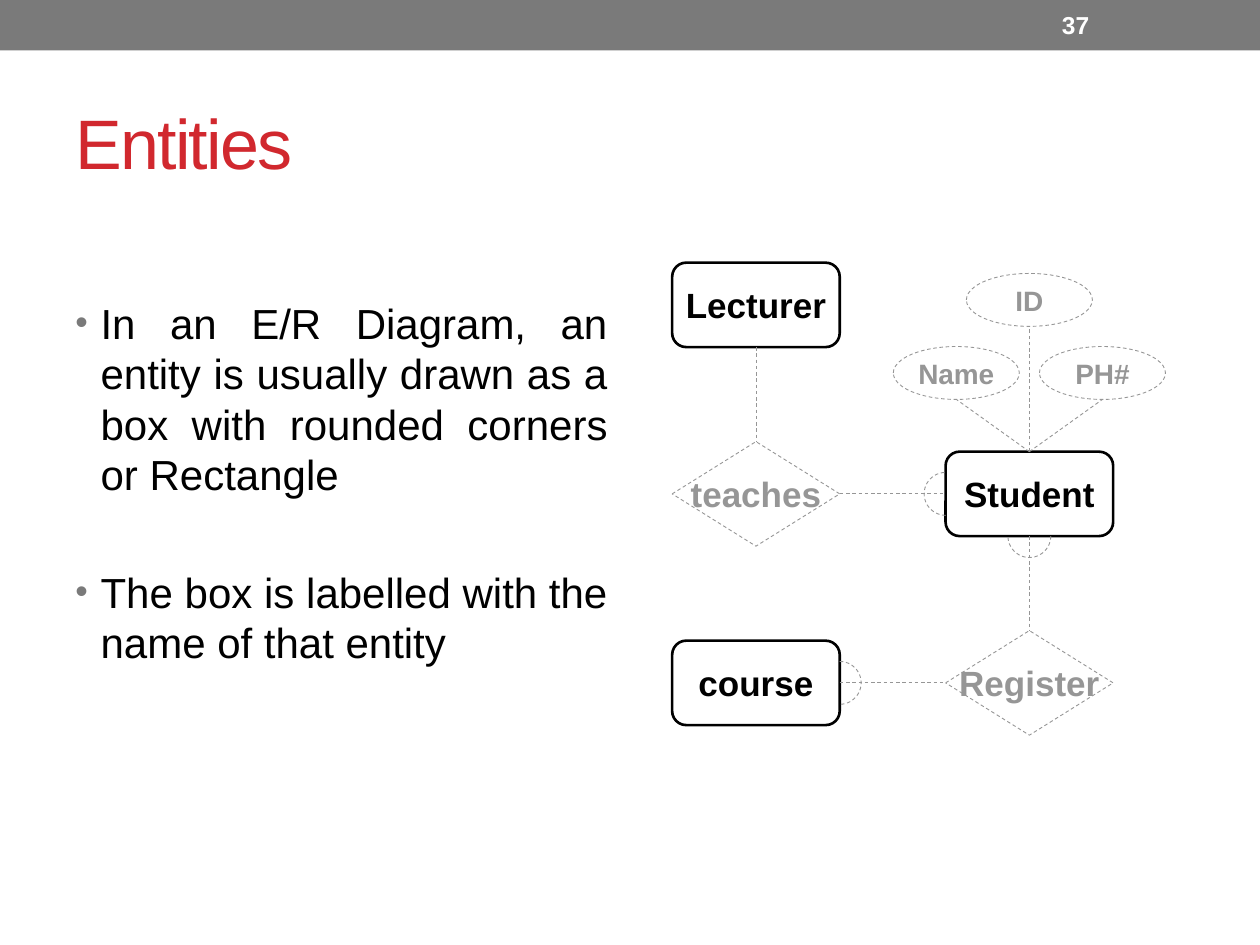
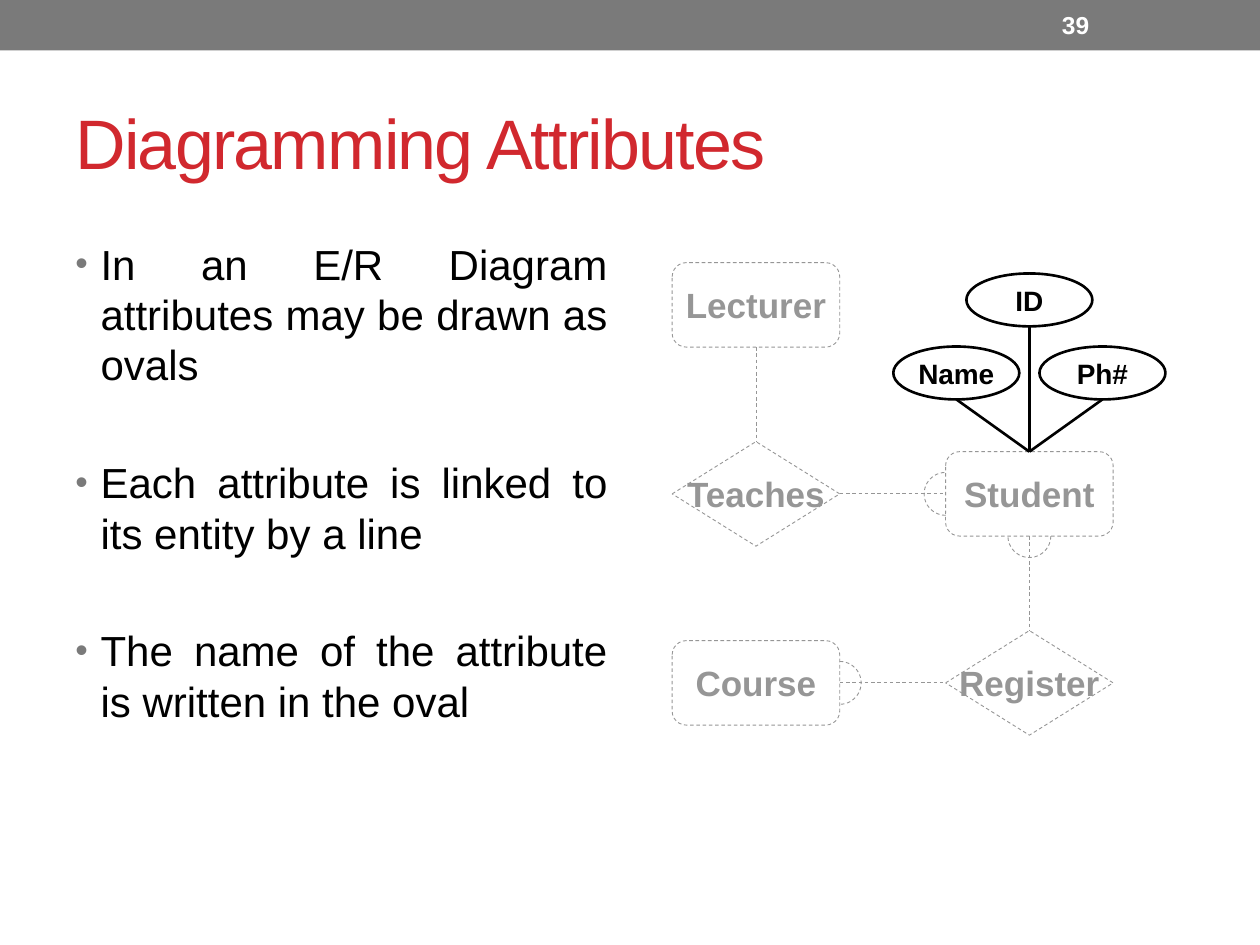
from dataclasses import dataclass
from math import cos, radians, sin

from lxml import etree
from pptx import Presentation
from pptx.dml.color import RGBColor
from pptx.enum.dml import MSO_LINE
from pptx.enum.shapes import MSO_CONNECTOR, MSO_SHAPE
from pptx.enum.text import MSO_ANCHOR, PP_ALIGN
from pptx.oxml.ns import qn
from pptx.util import Inches, Pt

FONT = "Arial"
COLORS = {
    "band": "7A7A7A",
    "title": "D1282E",
    "strong": "000000",
    "faded": "969696",
    "white": "FFFFFF",
}
ARC_RADIUS = 0.17
ARC_STEPS = 24


@dataclass(frozen=True)
class NodeStyle:
    preset: MSO_SHAPE
    width: float
    height: float
    size: int


STYLES = {
    "entity": NodeStyle(MSO_SHAPE.ROUNDED_RECTANGLE, 1.33, 0.67, 20),
    "relation": NodeStyle(MSO_SHAPE.DIAMOND, 1.33, 0.83, 20),
    "attribute": NodeStyle(MSO_SHAPE.OVAL, 1, 0.42, 16),
}


@dataclass(frozen=True)
class Node:
    """A diagram element placed by its centre."""
    role: str
    x: float
    y: float

    def side(self, name: str) -> tuple[float, float]:
        style = STYLES[self.role]
        across, down = {"left": (-1, 0), "right": (1, 0),
                        "top": (0, -1), "bottom": (0, 1)}[name]
        return self.x + across * style.width / 2, self.y + down * style.height / 2


@dataclass(frozen=True)
class Link:
    role: str
    start: str
    start_side: str
    end: str
    end_side: str


@dataclass(frozen=True)
class HalfCircle:
    """A half circle on one side of a node, from start_angle clockwise."""
    node: str
    side: str
    start_angle: int


@dataclass(frozen=True)
class Page:
    number: str
    title: str
    bullets: list[str]
    body_top: float
    strong_role: str
    labels: dict[str, str]


LEFT_X, RIGHT_X = 6, 8.17
TOP_Y, MIDDLE_Y, BOTTOM_Y = 2.42, 3.92, 5.42
NODES = {
    "student": Node("entity", RIGHT_X, MIDDLE_Y),
    "lecturer": Node("entity", LEFT_X, TOP_Y),
    "course": Node("entity", LEFT_X, BOTTOM_Y),
    "teaches": Node("relation", LEFT_X, MIDDLE_Y),
    "register": Node("relation", RIGHT_X, BOTTOM_Y),
    "id": Node("attribute", RIGHT_X, 2.38),
    "phone": Node("attribute", RIGHT_X + 0.58, 2.96),
    "name": Node("attribute", RIGHT_X - 0.58, 2.96),
}
LINKS = [
    Link("relation", "lecturer", "bottom", "teaches", "top"),
    Link("relation", "teaches", "right", "student", "left"),
    Link("relation", "student", "bottom", "register", "top"),
    Link("relation", "course", "right", "register", "left"),
] + [
    Link("attribute", "student", "top", attribute, "bottom")
    for attribute in ("phone", "id", "name")
]
HALF_CIRCLES = [
    HalfCircle("course", "right", -90),
    HalfCircle("student", "left", 90),
    HalfCircle("student", "bottom", 0),
]
SHARED_LABELS = {"student": "Student", "lecturer": "Lecturer",
                 "register": "Register", "id": "ID", "name": "Name"}
PAGES = [
    Page(
        "37", "Entities",
        ["In an E/R Diagram, an entity is usually drawn as a box with "
         "rounded corners or Rectangle",
         "The box is labelled with the name of that entity"],
        2.31, "entity",
        SHARED_LABELS | {"course": "course", "teaches": "teaches", "phone": "PH#"},
    ),
    Page(
        "39", "Diagramming Attributes",
        ["In an E/R Diagram attributes may be drawn as ovals",
         "Each attribute is linked to its entity by a line",
         "The name of the attribute is written in the oval"],
        1.84, "attribute",
        SHARED_LABELS | {"course": "Course", "teaches": "Teaches", "phone": "Ph#"},
    ),
]


def rgb(name: str) -> RGBColor:
    return RGBColor.from_string(COLORS[name])


def format_runs(paragraph, size: float, color: str, bold: bool = False) -> None:
    for run in paragraph.runs:
        run.font.name = FONT
        run.font.size = Pt(size)
        run.font.bold = bold
        run.font.color.rgb = rgb(color)


def add_text(slide, left: float, top: float, width: float, height: float,
             text: str, anchor=MSO_ANCHOR.MIDDLE):
    box = slide.shapes.add_textbox(Inches(left), Inches(top),
                                   Inches(width), Inches(height))
    text_frame = box.text_frame
    text_frame.word_wrap = True
    text_frame.vertical_anchor = anchor
    text_frame.text = text
    return text_frame


def add_bullet(paragraph) -> None:
    properties = paragraph._p.get_or_add_pPr()
    properties.set("marL", str(Inches(0.2)))
    properties.set("indent", str(Inches(-0.2)))
    color = etree.SubElement(properties, qn("a:buClr"))
    etree.SubElement(color, qn("a:srgbClr"), val=COLORS["band"])
    etree.SubElement(properties, qn("a:buSzPct"), val="85000")
    etree.SubElement(properties, qn("a:buFont"), typeface=FONT)
    etree.SubElement(properties, qn("a:buChar"), char="•")


def add_frame(slide, page: Page) -> None:
    """Draw the top band, page number and title."""
    band = slide.shapes.add_shape(MSO_SHAPE.RECTANGLE, 0, 0, Inches(10), Inches(0.4))
    band.shadow.inherit = False
    band.fill.solid()
    band.fill.fore_color.rgb = rgb("band")
    band.line.fill.background()

    title = add_text(slide, 0.5, 0.58, 9, 1.08, page.title).paragraphs[0]
    format_runs(title, 40, "title")
    title.runs[0]._r.get_or_add_rPr().set("spc", "-100")

    number = add_text(slide, 8.33, 0.02, 1.17, 0.36, page.number).paragraphs[0]
    format_runs(number, 14, "white", bold=True)


def add_body(slide, page: Page) -> None:
    text_frame = add_text(slide, 0.5, page.body_top, 4.42, 6.99 - page.body_top,
                          "\n".join(page.bullets), MSO_ANCHOR.TOP)
    for index, paragraph in enumerate(text_frame.paragraphs):
        add_bullet(paragraph)
        paragraph.alignment = PP_ALIGN.JUSTIFY
        paragraph.line_spacing = Pt(28.8)
        paragraph.space_before = Pt(38.5 if index else 0)
        format_runs(paragraph, 24, "strong")


def format_line(line, strong: bool) -> None:
    line.color.rgb = rgb("strong" if strong else "faded")
    line.width = Pt(1.5 if strong else 0.5)
    if not strong:
        line.dash_style = MSO_LINE.DASH


def add_node(slide, node: Node, label: str, strong: bool) -> None:
    style = STYLES[node.role]
    shape = slide.shapes.add_shape(
        style.preset, Inches(node.x - style.width / 2),
        Inches(node.y - style.height / 2), Inches(style.width), Inches(style.height))
    shape.shadow.inherit = False
    shape.fill.background()
    format_line(shape.line, strong)
    text_frame = shape.text_frame
    text_frame.word_wrap = False
    text_frame.vertical_anchor = MSO_ANCHOR.MIDDLE
    text_frame.text = label
    paragraph = text_frame.paragraphs[0]
    paragraph.alignment = PP_ALIGN.CENTER
    format_runs(paragraph, style.size, "strong" if strong else "faded", bold=True)


def add_link(slide, link: Link, strong: bool) -> None:
    start = NODES[link.start].side(link.start_side)
    end = NODES[link.end].side(link.end_side)
    connector = slide.shapes.add_connector(
        MSO_CONNECTOR.STRAIGHT, *(Inches(value) for value in start + end))
    etree.SubElement(connector._element.spPr, qn("a:effectLst"))
    format_line(connector.line, strong)


def add_half_circle(slide, half: HalfCircle) -> None:
    x, y = NODES[half.node].side(half.side)
    angles = [radians(half.start_angle + 180 * step / ARC_STEPS)
              for step in range(ARC_STEPS + 1)]
    points = [(Inches(x + ARC_RADIUS * cos(angle)), Inches(y + ARC_RADIUS * sin(angle)))
              for angle in angles]
    builder = slide.shapes.build_freeform(*points[0])
    builder.add_line_segments(points[1:], close=False)
    shape = builder.convert_to_shape()
    shape.shadow.inherit = False
    shape.fill.background()
    format_line(shape.line, strong=False)


def add_diagram(slide, page: Page) -> None:
    for key, node in NODES.items():
        add_node(slide, node, page.labels[key], node.role == page.strong_role)
    for link in LINKS:
        add_link(slide, link, link.role == page.strong_role)
    for half in HALF_CIRCLES:
        add_half_circle(slide, half)


def main() -> None:
    presentation = Presentation()
    presentation.slide_width = Inches(10)
    presentation.slide_height = Inches(7.5)
    for page in PAGES:
        slide = presentation.slides.add_slide(presentation.slide_layouts[6])
        add_frame(slide, page)
        add_body(slide, page)
        add_diagram(slide, page)
    presentation.save("out.pptx")


if __name__ == "__main__":
    main()
